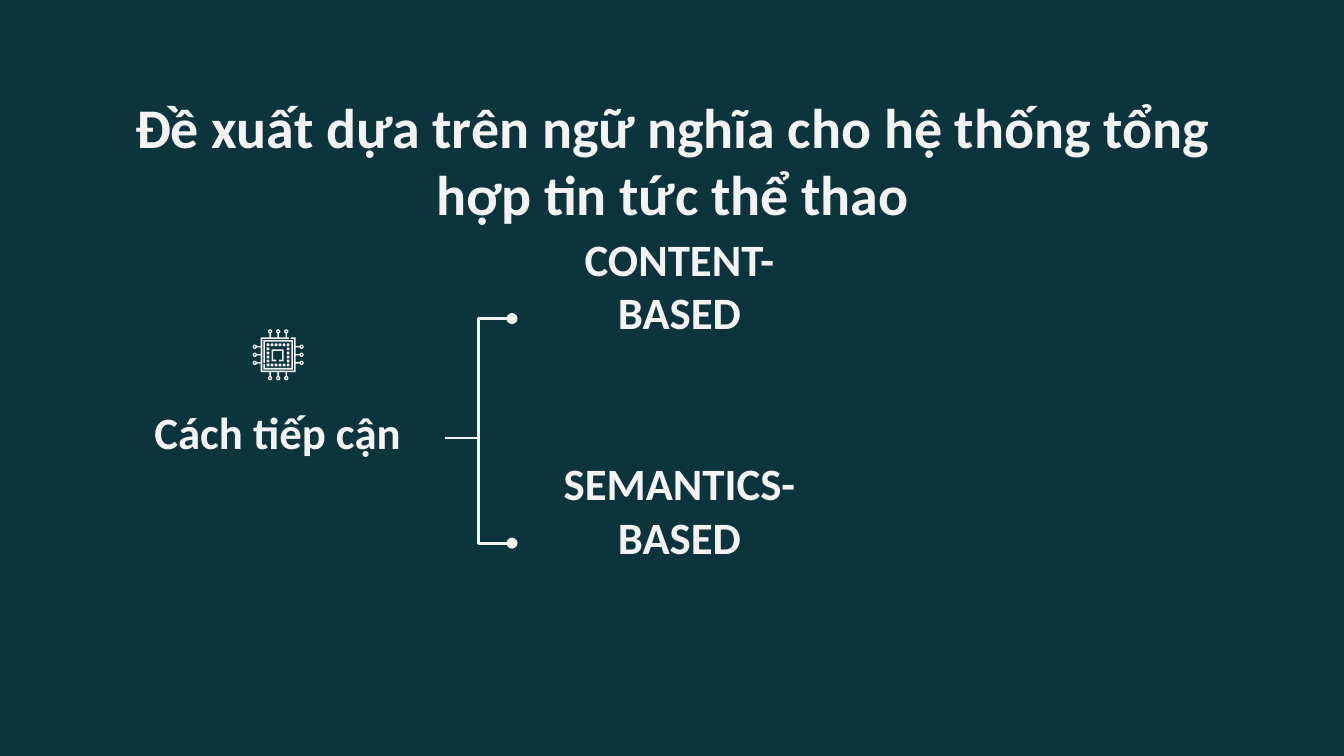
"""Build a slide on two approaches to semantic sports news recommendation."""
import math

from lxml import etree
from pptx import Presentation
from pptx import util as u
from pptx.dml.color import RGBColor
from pptx.enum import shapes, text
from pptx.oxml import ns

BACKGROUND = RGBColor(0x0C, 0x34, 0x3D)
LIGHT = RGBColor(0xF3, 0xF3, 0xF3)

presentation = Presentation()
presentation.slide_width = u.Inches(10)
presentation.slide_height = u.Inches(5.625)
column = presentation.slide_width / 100
row = presentation.slide_height / 100
slide = presentation.slides.add_slide(presentation.slide_layouts[6])
slide.background.fill.solid()
slide.background.fill.fore_color.rgb = BACKGROUND

boxes = []
for wording, left, top, width, height, size, anchor in (
    ("Đề xuất dựa trên ngữ nghĩa cho hệ thống tổng hợp tin tức thể thao",
     7.9, 10.5, 84.3, 11.2, 30, text.MSO_ANCHOR.TOP),
    ("Cách tiếp cận", 8.2, 53.5, 24.9, 8.9, 24, text.MSO_ANCHOR.BOTTOM),
    ("CONTENT-BASED", 38.1, 37.7, 24.9, 8.9, 24, text.MSO_ANCHOR.BOTTOM),
    ("SEMANTICS-BASED", 38.1, 67.4, 24.9, 8.9, 24, text.MSO_ANCHOR.BOTTOM),
):
    box = slide.shapes.add_textbox(
        int(left * column), int(top * row), int(width * column), int(height * row))
    frame = box.text_frame
    frame.word_wrap = True
    frame.vertical_anchor = anchor
    frame.margin_left = frame.margin_right = u.Inches(0.1)
    frame.margin_top = frame.margin_bottom = u.Inches(0.1)
    paragraph = frame.paragraphs[0]
    paragraph.text = wording
    paragraph.alignment = text.PP_ALIGN.CENTER
    paragraph.font.name = "Calibri"
    paragraph.font.size = u.Pt(size)
    paragraph.font.bold = True
    paragraph.font.color.rgb = LIGHT
    boxes.append(box)

title, approach, *options = boxes

unit = column / 100
center_x, center_y = 2070, 2640
chip = slide.shapes.add_group_shape()


def turn(points, quarters):
    """Turn points about the chip's center by quarter turns to the left."""
    for _ in range(quarters):
        points = [(y, -x) for x, y in points]
    return points


def paint(shape):
    """Give a part of the chip its plain light fill."""
    shape.shadow.inherit = False
    shape.fill.solid()
    shape.fill.fore_color.rgb = LIGHT
    shape.line.fill.background()


pins = []
for quarters in range(4):
    for offset in (-60, 0, 60):
        stem = [(offset - 5, -130), (offset + 5, -130),
                (offset + 5, -158), (offset - 5, -158)]
        pins.append(turn(stem, quarters))
        for radius in (16, 6):
            circle = [(offset + radius * math.cos(step * math.pi / 6),
                       -174 + radius * math.sin(step * math.pi / 6)) for step in range(12)]
            pins.append(turn(circle, quarters))

for half, gap_start, gap_end, quarters, shift, extras in (
    (130, 80, 92, 0, 0, pins),
    (110, -70, -60, 1, 0, []),
    (45, -10, 10, 2, -4, []),
):
    inner = half - 12
    ring = [(gap_end, -half), (half, -half), (half, half), (-half, half),
            (-half, -half), (gap_start, -half), (gap_start, -inner),
            (-inner, -inner), (-inner, inner), (inner, inner),
            (inner, -inner), (gap_end, -inner)]
    builder = None
    for contour in [turn(ring, quarters)] + extras:
        points = [(round(center_x + shift + x), round(center_y - shift + y))
                  for x, y in contour]
        if builder is None:
            builder = chip.shapes.build_freeform(*points[0], scale=unit)
        else:
            builder.move_to(*points[0])
        builder.add_line_segments(points[1:], close=True)
    paint(builder.convert_to_shape())

for across in range(6):
    for down in range(6):
        if across in (0, 5) or down in (0, 5):
            paint(chip.shapes.add_shape(
                shapes.MSO_SHAPE.ROUNDED_RECTANGLE,
                int((center_x - 86 + 30 * across) * unit),
                int((center_y - 84 + 30 * down) * unit),
                int(20 * unit), int(20 * unit)))

for option in options:
    connector = slide.shapes.add_connector(shapes.MSO_CONNECTOR.ELBOW, 0, 0, 0, 0)
    connector.begin_connect(approach, 3)
    connector.end_connect(option, 1)
    connector.line.color.rgb = LIGHT
    connector.line.width = u.Pt(1.5)
    line = connector.line._get_or_add_ln()
    etree.SubElement(line, ns.qn("a:tailEnd"), type="oval")
    etree.SubElement(connector._element.spPr, ns.qn("a:effectLst"))

presentation.save("out.pptx")
